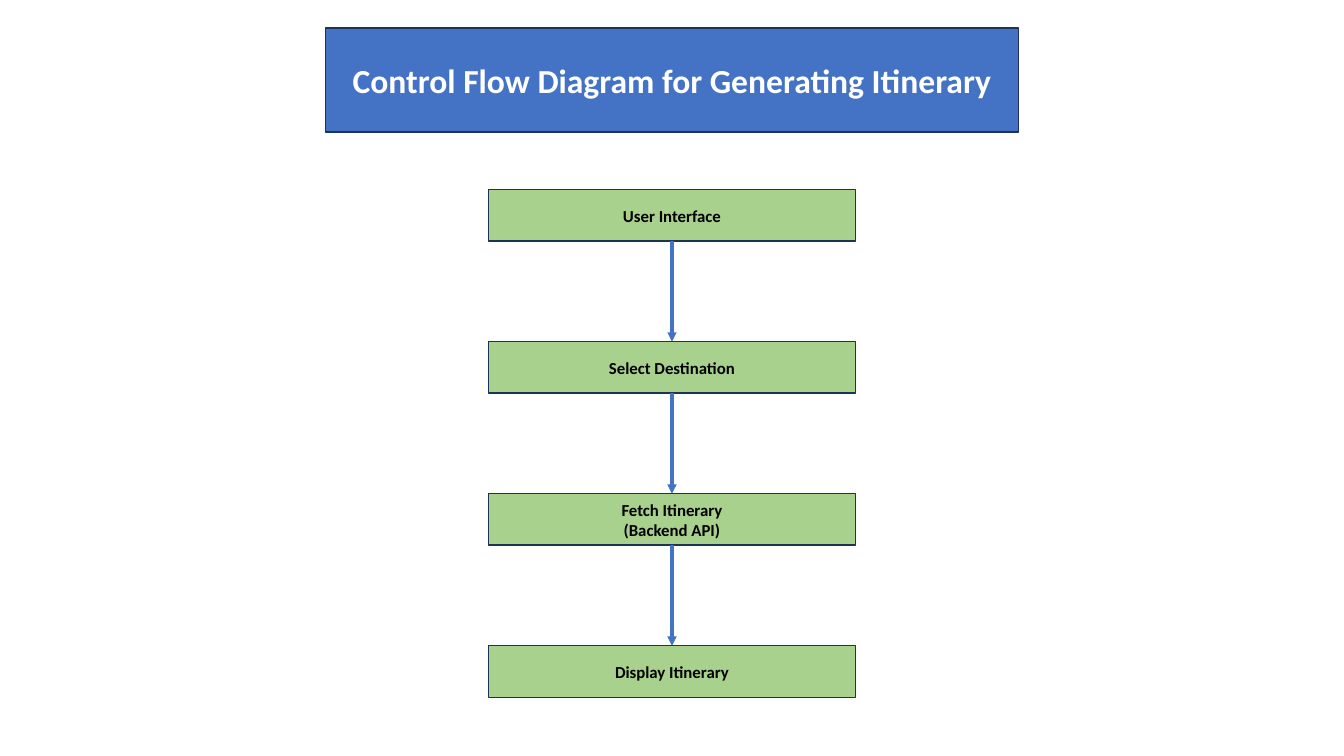
from lxml import etree
from pptx import Presentation
from pptx.dml.color import RGBColor
from pptx.enum import shapes, text
from pptx.oxml.ns import qn
from pptx.util import Pt

# Content
HEADING = "Control Flow Diagram for Generating Itinerary"
STEPS = [
    ["User Interface"],
    ["Select Destination"],
    ["Fetch Itinerary", "(Backend API)"],
    ["Display Itinerary"],
]

# Layout in points, everything centred on the slide
SLIDE_W, SLIDE_H = 960, 540
HEADING_TOP, HEADING_W, HEADING_H = 20, 495, 74.3
STEP_TOP, STEP_W, STEP_H, STEP_PITCH = 135.5, 262, 36.8, 108.6

BLUE, GREEN, NAVY = "4472C4", "A9D18E", "1E3256"
WHITE, BLACK = "FFFFFF", "000000"


def paint(color_format, color):
    color_format.rgb = RGBColor.from_string(color)


def style_box(box, lines, fill, size, color):
    box.fill.solid()
    paint(box.fill.fore_color, fill)
    paint(box.line.color, NAVY)
    box.line.width = Pt(1)
    frame = box.text_frame
    frame.text = "\n".join(lines)
    frame.word_wrap = True
    frame.auto_size = text.MSO_AUTO_SIZE.NONE
    frame.vertical_anchor = text.MSO_ANCHOR.MIDDLE
    for paragraph in frame.paragraphs:
        paragraph.alignment = text.PP_ALIGN.CENTER
        paragraph.font.name = "Calibri"
        paragraph.font.size = Pt(size)
        paragraph.font.bold = True
        paint(paragraph.font.color, color)


def add_arrow(slide, upper, lower):
    arrow = slide.shapes.add_connector(shapes.MSO_CONNECTOR.STRAIGHT, 0, 0, 0, 0)
    arrow.begin_connect(upper, 2)
    arrow.end_connect(lower, 0)
    paint(arrow.line.color, BLUE)
    arrow.line.width = Pt(2.25)
    # Arrowhead and no shadow
    etree.SubElement(arrow.line._get_or_add_ln(), qn("a:tailEnd"), type="triangle")
    etree.SubElement(arrow._element.spPr, qn("a:effectLst"))


def main():
    deck = Presentation()
    deck.slide_width, deck.slide_height = Pt(SLIDE_W), Pt(SLIDE_H)
    slide = deck.slides.add_slide(deck.slide_layouts.get_by_name("Title Only"))

    # Heading
    heading = slide.shapes.title
    heading.left, heading.top = Pt((SLIDE_W - HEADING_W) / 2), Pt(HEADING_TOP)
    heading.width, heading.height = Pt(HEADING_W), Pt(HEADING_H)
    style_box(heading, [HEADING], BLUE, 24, WHITE)

    # Steps
    steps = []
    for i, lines in enumerate(STEPS):
        step = slide.shapes.add_shape(
            shapes.MSO_SHAPE.RECTANGLE,
            Pt((SLIDE_W - STEP_W) / 2), Pt(STEP_TOP + i * STEP_PITCH),
            Pt(STEP_W), Pt(STEP_H))
        step.shadow.inherit = False
        style_box(step, lines, GREEN, 12, BLACK)
        steps.append(step)

    # Arrows from each step to the next
    for upper, lower in zip(steps, steps[1:]):
        add_arrow(slide, upper, lower)

    deck.save("out.pptx")


if __name__ == "__main__":
    main()
